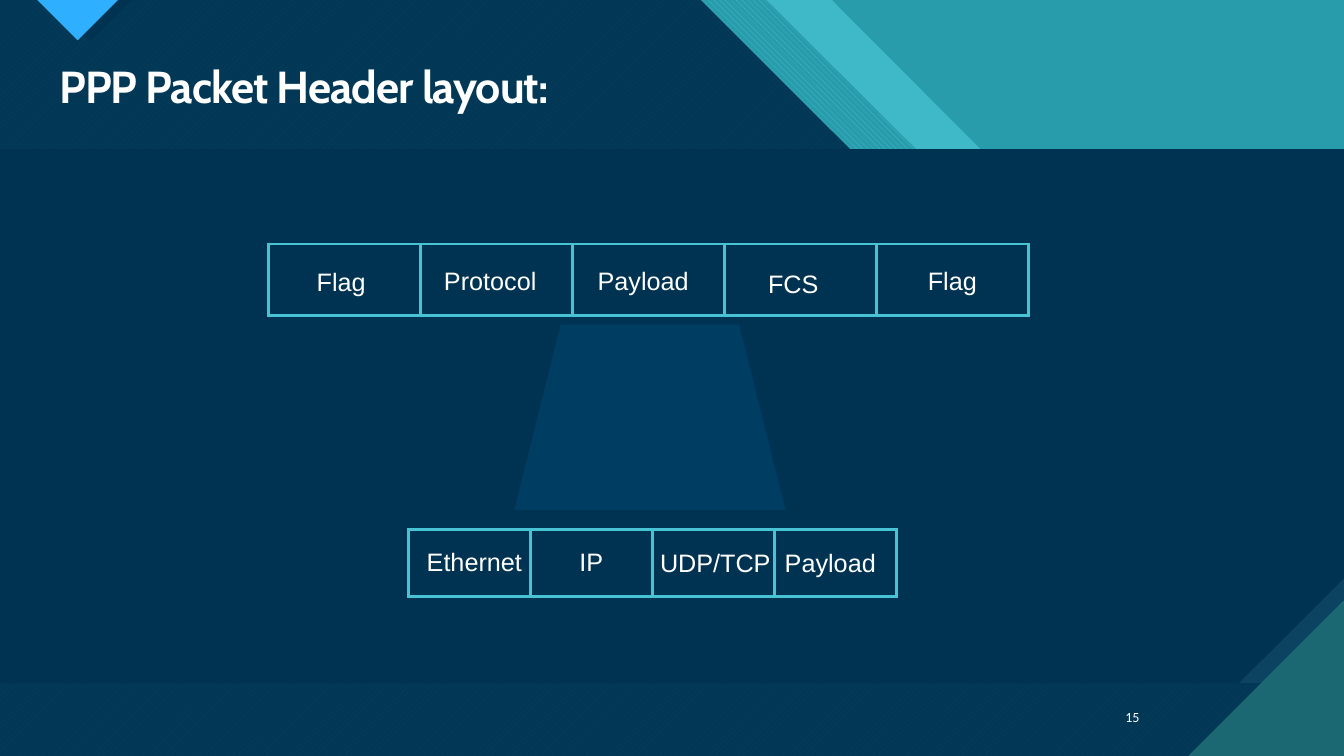
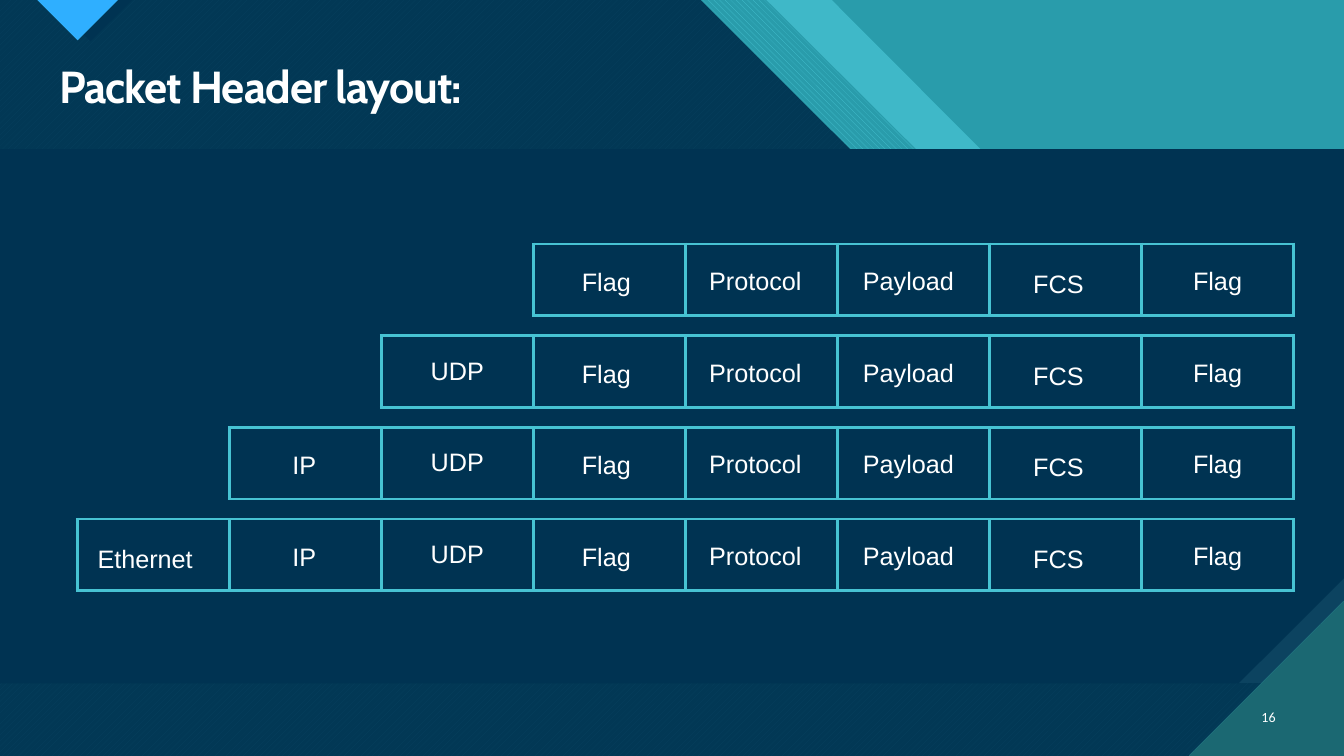
from lxml import etree
from pptx import Presentation
from pptx.dml.color import RGBColor
from pptx.enum.dml import MSO_PATTERN as Pattern
from pptx.enum.shapes import MSO_SHAPE as Preset
from pptx.enum.text import MSO_ANCHOR as Anchor, PP_ALIGN as Align
from pptx.oxml.ns import qn
from pptx.util import Inches, Pt

NAVY, BLUE, SLATE = "003352", "2FAFFF", "0C4360"
TEAL, CYAN, GREEN = "299CAB", "47C3D3", "1B6872"
WHITE, GLOW = "FFFFFF", "0065A4"

WIDTH, HEIGHT = 13.33, 7.5
LABEL_WIDTH = 1.94
PPP_COLUMN = 7.54 / 5
PPP_HEIGHT = 0.71
ROW_TOP, ROW_STEP = 2.42, 0.91
ROW_RIGHT = 12.83


def paint(shape, color, alpha=100, pattern=None, back=None):
    """Fill a shape, solid or patterned, without line or shadow."""
    shape.shadow.inherit = False
    shape.line.fill.background()
    fill = shape.fill
    if pattern is None:
        fill.solid()
    else:
        fill.patterned()
        fill.pattern = pattern
        fill.back_color.rgb = RGBColor.from_string(back)
    fill.fore_color.rgb = RGBColor.from_string(color)
    if alpha < 100:
        tone = shape.element.spPr.find(".//" + qn("a:srgbClr"))
        etree.SubElement(tone, qn("a:alpha")).set("val", str(alpha * 1000))


def add_text(page, text, left, top, width, height, font, size, align, inset=True):
    box = page.shapes.add_textbox(Inches(left), Inches(top), Inches(width), Inches(height))
    frame = box.text_frame
    frame.word_wrap = True
    if not inset:
        frame.margin_left = frame.margin_right = frame.margin_top = frame.margin_bottom = 0
    frame.text = text
    para = frame.paragraphs[0]
    para.alignment = align
    span = para.runs[0]
    span.font.name = font
    span.font.size = Pt(size)
    span.font.color.rgb = RGBColor.from_string(WHITE)
    return box


deck = Presentation()
deck.slide_width, deck.slide_height = Inches(WIDTH), Inches(HEIGHT)
layout = deck.slide_layouts[6]
for placeholder in list(layout.placeholders):
    placeholder.element.getparent().remove(placeholder.element)
layout.background.fill.solid()
layout.background.fill.fore_color.rgb = RGBColor.from_string(TEAL)

# Shared backdrop: built on the first page, then moved into the layout
first_page = deck.slides.add_slide(layout)
light_area = [(0, 0), (8.25, 0), (11.22, 2.98), (12.34, 2.98), (WIDTH, 3.97),
              (WIDTH, HEIGHT), (0, HEIGHT)]
striped_area = [(0.66, 0), (7.6, 0), (10.58, 2.97), (11.84, 2.97), (WIDTH, 4.47),
                (WIDTH, HEIGHT), (0.66, HEIGHT)]
dark_area = [(0, 0), (6.95, 0), (9.92, 2.97), (11.18, 2.97), (WIDTH, 5.13),
             (WIDTH, HEIGHT), (0, HEIGHT)]
pointer_shade = [(1.31, 0), (0.9, 0.41), (0.48, 0)]
pointer = [(0.37, 0), (0.77, 0.4), (1.17, 0)]
corner = [(11.79, HEIGHT), (WIDTH, HEIGHT), (WIDTH, 5.96)]

snips = [
    (0, dict(color=SLATE, pattern=Pattern.DARK_VERTICAL, back=GREEN)),
    (0.197, dict(color=NAVY)),
]
outlines = [
    (light_area, dict(color=CYAN, alpha=74)),
    (striped_area, dict(color=CYAN, pattern=Pattern.WIDE_DOWNWARD_DIAGONAL, back=TEAL)),
    (dark_area, dict(color=CYAN, pattern=Pattern.WIDE_UPWARD_DIAGONAL, back=GREEN)),
    (dark_area, dict(color=NAVY, alpha=90)),
    (pointer_shade, dict(color=NAVY)),
    (pointer, dict(color=BLUE, pattern=Pattern.DARK_HORIZONTAL, back=GREEN)),
    (corner, dict(color=GREEN, pattern=Pattern.DARK_HORIZONTAL, back=CYAN)),
]
for points, look in outlines:
    if points is corner:
        for snip, band_look in snips:
            band = first_page.shapes.add_shape(
                Preset.SNIP_1_RECTANGLE, 0, Inches(1.48), Inches(WIDTH), Inches(5.3))
            band.adjustments[0] = snip
            band.element.spPr.find(qn("a:xfrm")).set("flipV", "1")
            paint(band, **band_look)
    start, *others = [(Inches(x), Inches(y)) for x, y in points]
    builder = first_page.shapes.build_freeform(*start)
    builder.add_line_segments(others, close=True)
    paint(builder.convert_to_shape(), **look)
for shape in list(first_page.shapes):
    layout.shapes.element.append(shape.element)

# Labels: text, shift from the column centre, drop from the top of the row
ppp_fields = [("Flag", -0.03, 0.22), ("Protocol", -0.06, 0.21), ("Payload", -0.05, 0.21),
              ("FCS", -0.07, 0.24), ("Flag", 0, 0.21)]
stack_fields = [("Ethernet", -0.08, 0.24), ("IP", -0.01, 0.22), ("UDP", 0, 0.19)] + ppp_fields
payload_fields = [("Ethernet", 0.05, 0.17), ("IP", 0, 0.17), ("UDP/TCP", 0.02, 0.18),
                  ("Payload", -0.05, 0.18)]

# Rows: left, top, column width, height, fields
ppp_rows = [
    (2.66, ROW_TOP, PPP_COLUMN, PPP_HEIGHT, ppp_fields),
    (4.05, 5.25, 1.21, 0.67, payload_fields),
]
stack_rows = []
for step in range(4):
    fields = stack_fields[3 - step:]
    stack_rows.append((ROW_RIGHT - len(fields) * PPP_COLUMN, ROW_TOP + step * ROW_STEP,
                       PPP_COLUMN, PPP_HEIGHT, fields))

pages = [
    (first_page, "PPP Packet Header layout:", "15", 10.96, ppp_rows),
    (deck.slides.add_slide(layout), "Packet Header layout:", "16", 12.31, stack_rows),
]
for page, title, number, number_left, rows in pages:
    title_box = add_text(page, title, 0.49, 0.59, 12.26, 0.59, "Cabin", 32, Align.LEFT)
    para = title_box.text_frame.paragraphs[0]
    para.line_spacing = 0.9
    para.runs[0].font.bold = True
    para.runs[0].font.element.set("spc", "-70") if hasattr(para.runs[0].font, "element") else \
        para.runs[0].font.fill and title_box.element.find(".//" + qn("a:rPr")).set("spc", "-70")

    number_box = add_text(page, number, number_left, 6.91, 0.44, 0.4, "Calibri", 10, Align.RIGHT)
    number_box.text_frame.vertical_anchor = Anchor.MIDDLE

    if page is first_page:
        funnel = page.shapes.add_shape(
            Preset.TRAPEZOID, Inches(5.1), Inches(3.22), Inches(2.69), Inches(1.84))
        paint(funnel, GLOW, alpha=21)

    for left, top, column_width, height, fields in rows:
        table = page.shapes.add_table(
            1, len(fields), Inches(left), Inches(top),
            Inches(column_width * len(fields)), Inches(height)).table
        table.first_row = table.horz_banding = False
        for index, (label, shift, drop) in enumerate(fields):
            table.columns[index].width = Inches(column_width)
            cell = table.cell(0, index)
            properties = cell._tc.get_or_add_tcPr()
            for side in ("a:lnL", "a:lnR", "a:lnT", "a:lnB"):
                border = etree.SubElement(properties, qn(side), w=str(Pt(2.25)))
                solid = etree.SubElement(border, qn("a:solidFill"))
                etree.SubElement(solid, qn("a:srgbClr"), val=CYAN)
            cell.fill.background()

            center = left + (index + 0.5) * column_width + shift
            label_box = add_text(page, label, center - LABEL_WIDTH / 2, top + drop,
                                 LABEL_WIDTH, 0.52, "Arial", 18, Align.CENTER, inset=False)
            para = label_box.text_frame.paragraphs[0]
            para.space_before, para.space_after = Pt(6), Pt(4)

deck.save("out.pptx")
